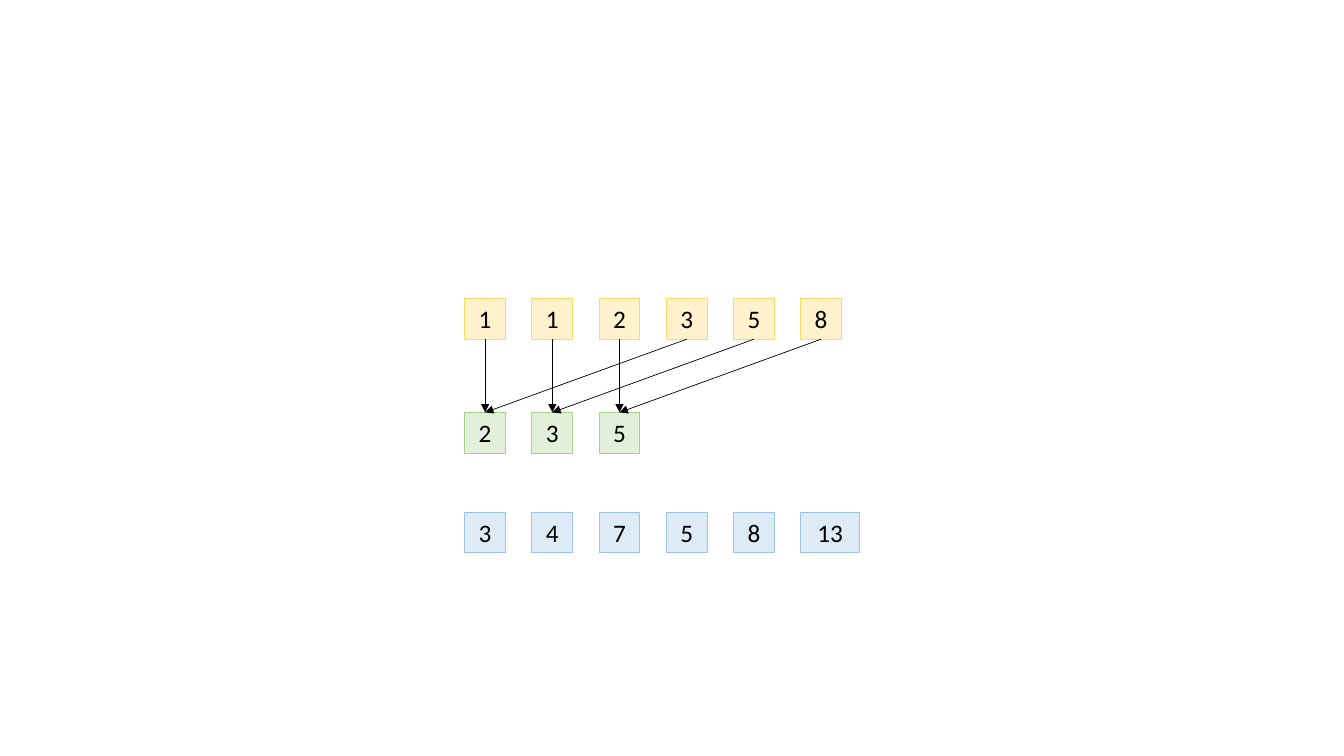
import pptx
import pptx.dml.color
import pptx.enum.shapes
import pptx.enum.text
import pptx.oxml.ns
import pptx.util
from lxml import etree

Pt = pptx.util.Pt
RGBColor = pptx.dml.color.RGBColor

BLACK = RGBColor(0x00, 0x00, 0x00)
YELLOW_FILL = RGBColor(0xFF, 0xF2, 0xCC)
YELLOW_LINE = RGBColor(0xFF, 0xD9, 0x66)
GREEN_FILL = RGBColor(0xE2, 0xF0, 0xD9)
GREEN_LINE = RGBColor(0xA9, 0xD1, 0x8E)
BLUE_FILL = RGBColor(0xDE, 0xEB, 0xF7)
BLUE_LINE = RGBColor(0x9D, 0xC3, 0xE6)

LEFT = 332
PITCH = 48
BOX_SIZE = 29.08
WIDE_BOX = 42
ARROW_SPAN = 3

FRAME_FORMAT = {
    "word_wrap": True,
    "auto_size": pptx.enum.text.MSO_AUTO_SIZE.SHAPE_TO_FIT_TEXT,
    "vertical_anchor": pptx.enum.text.MSO_ANCHOR.TOP,
}
FONT_FORMAT = {"name": "Calibri", "size": Pt(18)}

ROWS = {
    "inputs": (213.2, YELLOW_FILL, YELLOW_LINE, ["1", "1", "2", "3", "5", "8"]),
    "differences": (294.6, GREEN_FILL, GREEN_LINE, ["2", "3", "5"]),
    "results": (365.8, BLUE_FILL, BLUE_LINE, ["3", "4", "7", "5", "8", "13"]),
}

presentation = pptx.Presentation()
presentation.slide_width = Pt(960)
presentation.slide_height = Pt(540)
slide = presentation.slides.add_slide(presentation.slide_layouts[6])

boxes = {}
for row_name, (top, fill_color, line_color, numbers) in ROWS.items():
    boxes[row_name] = []
    for column, number in enumerate(numbers):
        width = WIDE_BOX if len(number) > 1 else BOX_SIZE
        shape = slide.shapes.add_shape(
            pptx.enum.shapes.MSO_SHAPE.RECTANGLE,
            Pt(LEFT + column * PITCH), Pt(top), Pt(width), Pt(BOX_SIZE))
        shape.shadow.inherit = False
        shape.fill.solid()
        shape.fill.fore_color.rgb = fill_color
        shape.line.color.rgb = line_color
        shape.line.width = Pt(0.75)
        for name, value in FRAME_FORMAT.items():
            setattr(shape.text_frame, name, value)
        paragraph = shape.text_frame.paragraphs[0]
        paragraph.alignment = pptx.enum.text.PP_ALIGN.CENTER
        run = paragraph.add_run()
        run.text = number
        for name, value in FONT_FORMAT.items():
            setattr(run.font, name, value)
        run.font.color.rgb = BLACK
        boxes[row_name].append(shape)

for column, input_box in enumerate(boxes["inputs"]):
    connector = slide.shapes.add_connector(
        pptx.enum.shapes.MSO_CONNECTOR.STRAIGHT, 0, 0, 0, 0)
    connector.begin_connect(input_box, 2)
    connector.end_connect(boxes["differences"][column % ARROW_SPAN], 0)
    connector.line.color.rgb = BLACK
    connector.line.width = Pt(0.5)
    line_element = connector.line._get_or_add_ln()
    etree.SubElement(line_element, pptx.oxml.ns.qn("a:tailEnd"), type="triangle")
    etree.SubElement(connector._element.spPr, pptx.oxml.ns.qn("a:effectLst"))

presentation.save("out.pptx")
